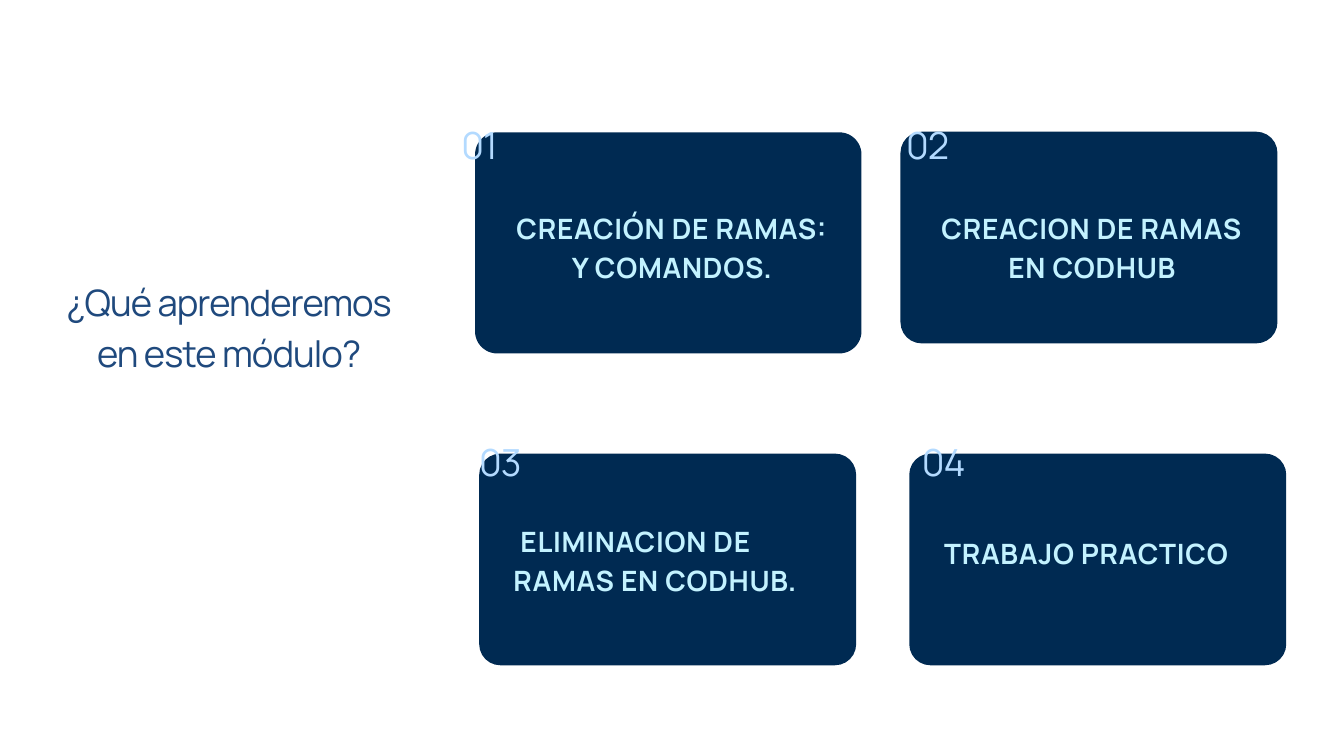
"""Builds the slide that lists the four topics of the module."""
from pptx import Presentation
from pptx.dml.color import RGBColor
from pptx.enum.shapes import MSO_SHAPE
from pptx.enum.text import MSO_ANCHOR, MSO_AUTO_SIZE, PP_ALIGN
from pptx.util import Pt

ROUNDED = MSO_SHAPE.ROUNDED_RECTANGLE
TOP = MSO_ANCHOR.TOP
FIXED = MSO_AUTO_SIZE.NONE
LEFT, CENTER = PP_ALIGN.LEFT, PP_ALIGN.CENTER

TITLE_ONLY = 5
FONT = "Manrope"
COLORS = {
    "background": "FFFFFF",
    "title": "1F497D",
    "card": "002A52",
    "topic": "C3F2FF",
    "number": "B3DAFF",
}
TOPICS = [
    {"number": "01", "card": (509, 141.8, 414, 236.9), "number_at": (466.6, 122.4),
     "topic": "CREACIÓN DE RAMAS: Y COMANDOS.", "topic_at": (548, 220.3, 344.2, 82.8),
     "align": CENTER, "indent": 0},
    {"number": "02", "card": (964.8, 141.1, 403.9, 226.8), "number_at": (946.8, 122.4),
     "topic": "CREACION DE RAMAS EN CODHUB", "topic_at": (993.6, 220.3, 352.8, 82.8),
     "align": CENTER, "indent": 0},
    {"number": "03", "card": (513.4, 486, 403.9, 226.8), "number_at": (488.9, 462.2),
     "topic": "ELIMINACION DE RAMAS EN CODHUB.", "topic_at": (550.1, 555.8, 344.2, 82.8),
     "align": LEFT, "indent": 7.5},
    {"number": "04", "card": (974.2, 486, 403.9, 226.8), "number_at": (964.1, 462.2),
     "topic": "TRABAJO PRACTICO", "topic_at": (1011.6, 568.8, 344.2, 40.3),
     "align": LEFT, "indent": 0},
]


def rgb(name):
    return RGBColor.from_string(COLORS[name])


def write(box, text, size, leading, color, tracking, align=CENTER, bold=False, indent=0):
    frame = box.text_frame
    frame.text = text
    frame.word_wrap = True
    frame.auto_size = FIXED
    frame.vertical_anchor = TOP
    frame.margin_left = frame.margin_right = frame.margin_top = frame.margin_bottom = 0
    paragraph = frame.paragraphs[0]
    paragraph.alignment = align
    paragraph.line_spacing = Pt(leading)
    if indent:
        paragraph._p.get_or_add_pPr().set("indent", str(Pt(indent)))
    for run in paragraph.runs:
        run.font.name = FONT
        run.font.size = Pt(size)
        run.font.bold = bold
        run.font.color.rgb = rgb(color)
        run._r.get_or_add_rPr().set("spc", str(round(tracking * 100)))


def add_title(slide, text):
    title = slide.shapes.title
    title.left, title.top, title.width, title.height = map(Pt, (48.2, 292.3, 394.6, 108))
    write(title, text, 39, 54.6, "title", -1)


def add_card(slide, bounds):
    card = slide.shapes.add_shape(ROUNDED, *map(Pt, bounds))
    card.adjustments[0] = 0.1
    card.shadow.inherit = False
    card.fill.solid()
    card.fill.fore_color.rgb = rgb("card")
    card.line.fill.background()


def add_topic(slide, entry):
    topic = slide.shapes.add_textbox(*map(Pt, entry["topic_at"]))
    write(topic, entry["topic"], 30, 42, "topic", 0.8, entry["align"], True, entry["indent"])


def add_number(slide, entry):
    number = slide.shapes.add_textbox(*map(Pt, entry["number_at"] + (94.3, 53.3)))
    write(number, entry["number"], 40, 56, "number", -1)


def main():
    deck = Presentation()
    deck.slide_width, deck.slide_height = Pt(1440), Pt(810)
    slide = deck.slides.add_slide(deck.slide_layouts[TITLE_ONLY])
    slide.background.fill.solid()
    slide.background.fill.fore_color.rgb = rgb("background")
    add_title(slide, "¿Qué aprenderemos\ven este módulo?")
    for entry in TOPICS:
        add_card(slide, entry["card"])
        add_topic(slide, entry)
        add_number(slide, entry)
    deck.save("out.pptx")


if __name__ == "__main__":
    main()
